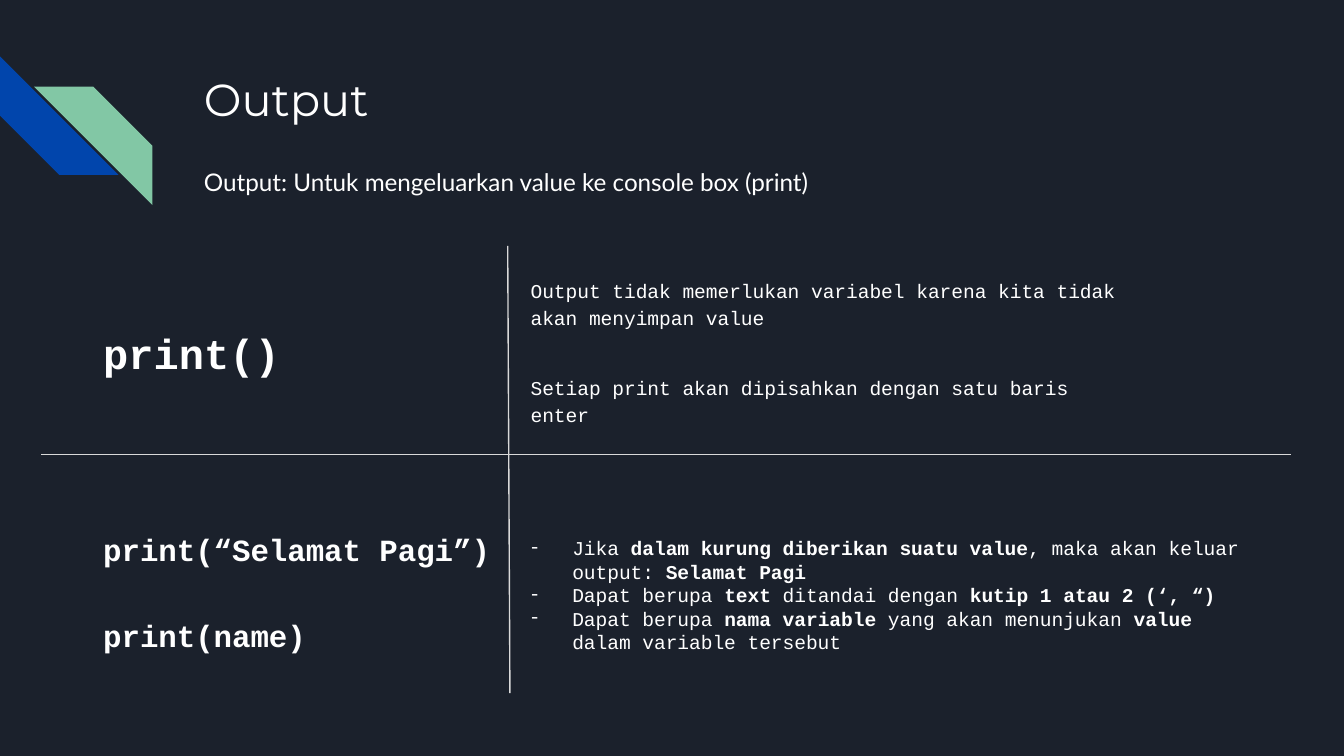
from lxml.etree import SubElement
from pptx import Presentation
from pptx.dml.color import RGBColor
from pptx.enum.shapes import MSO_CONNECTOR, MSO_SHAPE
from pptx.oxml.ns import qn
from pptx.util import Pt

COLORS = {
    "background": "1B212C",
    "text": "FFFFFF",
    "blue": "0145AC",
    "green": "82C7A5",
    "rule": "D9D9D9",
}
CODE_FONT = "Courier New"


def color(name):
    return RGBColor.from_string(COLORS[name])


def fill_text(box, paragraphs, font, size, line_spacing=1.15, gap=0, bold=False):
    """Write paragraphs, each a list of (text, bold) runs or one plain string."""
    frame = box.text_frame
    frame.word_wrap = True
    frame.margin_left = frame.margin_right = Pt(7.2)
    frame.margin_top = frame.margin_bottom = Pt(7.2)
    for index, content in enumerate(paragraphs):
        para = frame.paragraphs[0] if index == 0 else frame.add_paragraph()
        para.line_spacing = line_spacing
        para.space_before = Pt(gap if index else 0)
        para.space_after = Pt(gap if index == len(paragraphs) - 1 else 0)
        runs = [(content, bold)] if isinstance(content, str) else content
        for text, is_bold in runs:
            span = para.add_run()
            span.text = text
            span.font.name = font
            span.font.size = Pt(size)
            span.font.bold = is_bold
            span.font.color.rgb = color("text")


deck = Presentation()
deck.slide_width, deck.slide_height = Pt(720), Pt(405)
page = deck.slides.add_slide(deck.slide_layouts[6])
page.background.fill.solid()
page.background.fill.fore_color.rgb = color("background")
shapes = page.shapes

# Corner stripes
for left, top, rotation, name in [(0, 30.2, 270, "blue"), (18.2, 46.4, 90, "green")]:
    stripe = shapes.add_shape(MSO_SHAPE.DIAGONAL_STRIPE, Pt(left), Pt(top), Pt(63.5), Pt(63.5))
    stripe.rotation = rotation
    stripe.shadow.inherit = False
    stripe.fill.solid()
    stripe.fill.fore_color.rgb = color(name)
    stripe.line.fill.background()

# Title and introduction
title = shapes.add_textbox(Pt(102.2), Pt(31), Pt(554.4), Pt(72))
fill_text(title, ["Output"], "Montserrat", 24, line_spacing=1)

intro = shapes.add_textbox(Pt(102.2), Pt(80), Pt(609), Pt(37.4))
fill_text(intro, ["Output: Untuk mengeluarkan value ke console box (print)"], "Lato", 13)

# Upper row: the function and what it does
function = shapes.add_textbox(Pt(48.2), Pt(164.2), Pt(236.2), Pt(43.2))
function.fill.solid()
function.fill.fore_color.rgb = color("background")
fill_text(function, ["print()"], CODE_FONT, 22.5, gap=23, bold=True)

purpose = shapes.add_textbox(Pt(277.2), Pt(140.4), Pt(333.4), Pt(23))
fill_text(purpose, [
    "Output tidak memerlukan variabel karena kita tidak akan menyimpan value",
    "Setiap print akan dipisahkan dengan satu baris enter",
], CODE_FONT, 10.5, gap=23)

# Lower row: examples and their rules
rules = shapes.add_textbox(Pt(263.5), Pt(280.1), Pt(413.3), Pt(23))
fill_text(rules, [
    [("Jika ", False), ("dalam kurung diberikan suatu value", True),
     (", maka akan keluar output: ", False), ("Selamat Pagi", True)],
    [("Dapat berupa ", False), ("text ", True),
     ("ditandai dengan ", False), ("kutip 1 atau 2 (‘, “)", True)],
    [("Dapat berupa ", False), ("nama variable ", True),
     ("yang akan menunjukan ", False), ("value", True),
     (" dalam variable tersebut", False)],
], CODE_FONT, 10.5, line_spacing=1)
for para in rules.text_frame.paragraphs:
    properties = para._p.get_or_add_pPr()
    properties.set("marL", str(Pt(36)))
    properties.set("indent", str(-Pt(23.25)))
    bullet_color = SubElement(properties, qn("a:buClr"))
    SubElement(bullet_color, qn("a:srgbClr"), val=COLORS["text"])
    SubElement(properties, qn("a:buFont"), typeface=CODE_FONT)
    SubElement(properties, qn("a:buChar"), char="-")

examples = shapes.add_textbox(Pt(48.2), Pt(274.3), Pt(236.2), Pt(43.2))
fill_text(examples, ["print(“Selamat Pagi”)", "print(name)"], CODE_FONT, 16.5, gap=23, bold=True)

# Dividing lines
for ends in [(22, 243.5, 691.8, 243.5), (272, 131.8, 273.2, 371.3)]:
    divider = shapes.add_connector(MSO_CONNECTOR.STRAIGHT, *[Pt(value) for value in ends])
    divider.line.color.rgb = color("rule")
    divider.line.width = Pt(0.75)
    SubElement(divider._element.spPr, qn("a:effectLst"))

deck.save("out.pptx")
